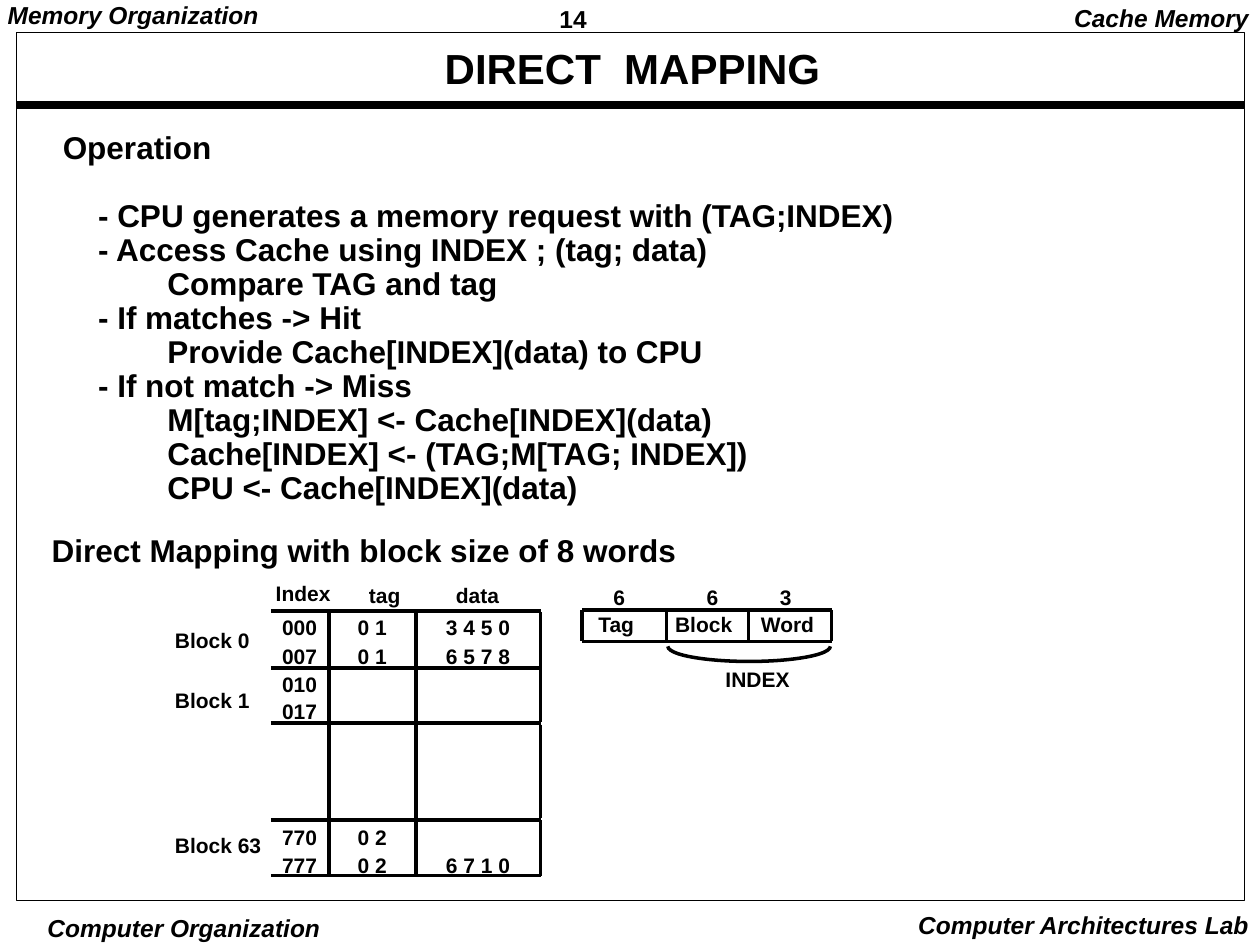
"""Build the direct mapping slide of a cache memory lecture."""
from lxml import etree
from pptx import Presentation
from pptx import util as u
from pptx.dml.color import RGBColor
from pptx.enum import shapes, text
from pptx.oxml.ns import qn

INK = "000000"
TITLE = "DIRECT  MAPPING"
WIDE, NARROW, TIGHT = (0.1, 0.05), (0.07, 0.03), (0.03, 0.01)
LEFT, CENTER, RIGHT = text.PP_ALIGN.LEFT, text.PP_ALIGN.CENTER, text.PP_ALIGN.RIGHT
SLACK = 0.06
SLACK_SHIFT = {LEFT: 0, CENTER: SLACK / 2, RIGHT: SLACK}

# words, (left, top, width, height), margins, alignment, line spacing, italic
MARGIN_TEXTS = [
    ("14", (4.37, 0, 1.08, 0.29), NARROW, LEFT, 1.01, False),
    ("Memory Organization", (-0.01, 0, 2.13, 0.27), NARROW, LEFT, 0.9, True),
    ("Cache Memory", (8.42, 0, 1.59, 0.31), WIDE, RIGHT, 0.9, True),
    ("Computer Organization", (0.35, 7.24, 2.22, 0.26), TIGHT, CENTER, 1.0, True),
    ("Computer Architectures Lab", (7.18, 7.17, 2.83, 0.33), WIDE, RIGHT, 1.0, True),
]

INDENTS = (0, 0.28, 0.83)
OPERATION = [
    (0, "Operation"),
    (1, "- CPU generates a memory request with (TAG;INDEX)"),
    (1, "- Access Cache using INDEX ; (tag; data)"),
    (2, "Compare TAG and tag"),
    (1, "- If matches -> Hit"),
    (2, "Provide Cache[INDEX](data) to CPU"),
    (1, "- If not match -> Miss"),
    (2, "M[tag;INDEX] <- Cache[INDEX](data)"),
    (2, "Cache[INDEX] <- (TAG;M[TAG; INDEX])"),
    (2, "CPU <- Cache[INDEX](data)"),
]
SUBTITLE = "Direct Mapping with block size of 8 words"

CACHE_COLUMNS = [(2.14, 0.48), (2.74, 0.43), (3.44, 0.71)]
CACHE_ROWS = [
    (4.85, ("000", "0 1", "3 4 5 0")),
    (5.08, ("007", "0 1", "6 5 7 8")),
    (5.3, ("010",)),
    (5.52, ("017",)),
    (6.52, ("770", "0 2")),
    (6.74, ("777", "0 2", "6 7 1 0")),
]
CACHE_RULES = (4.85, 5.3, 5.74, 6.51, 6.95)
CACHE_DIVIDERS = (2.61, 3.3, 4.29)
CACHE_SPANS = [(4.86, 5.73), (5.75, 6.49), (6.51, 6.95)]

LABELS = [
    ("Index", 2.09, 4.58, 0.64), ("tag", 2.83, 4.6, 0.45), ("data", 3.52, 4.6, 0.54),
    ("Block 0", 1.29, 4.95, 0.79), ("Block 1", 1.29, 5.43, 0.79),
    ("Block 63", 1.29, 6.58, 0.89),
    ("6", 4.77, 4.61, 0.29), ("6", 5.51, 4.61, 0.29), ("3", 6.09, 4.61, 0.29),
    ("Tag", 4.65, 4.83, 0.52), ("Block", 5.26, 4.83, 0.66), ("Word", 5.94, 4.83, 0.63),
    ("INDEX", 5.66, 5.26, 0.71),
]
ADDRESS_RULES = (4.84, 5.09)
ADDRESS_DIVIDERS = (4.62, 5.29, 5.94, 6.6)


def color(value):
    return RGBColor.from_string(value)


def set_all(target, values):
    for name, value in values.items():
        setattr(target, name, value)


def place(shape, at):
    set_all(shape, dict(zip(("left", "top", "width", "height"), map(u.Inches, at))))


def write(box, lines, size, margins=WIDE, align=LEFT, spacing=0.9, italic=False,
          anchor=text.MSO_ANCHOR.TOP):
    across, down = map(u.Inches, margins)
    frame = box.text_frame
    set_all(frame, {
        "margin_left": across, "margin_right": across,
        "margin_top": down, "margin_bottom": down,
        "word_wrap": True, "vertical_anchor": anchor,
        "auto_size": text.MSO_AUTO_SIZE.SHAPE_TO_FIT_TEXT,
    })
    for number, (level, words) in enumerate(lines):
        para = frame.add_paragraph() if number else frame.paragraphs[0]
        set_all(para, {"alignment": align, "line_spacing": spacing})
        if INDENTS[level]:
            para._p.get_or_add_pPr().set("marL", str(u.Inches(INDENTS[level])))
        span = para.add_run()
        span.text = words
        set_all(span.font, {"name": "Arial", "size": u.Pt(size),
                            "bold": True, "italic": italic})
        span.font.color.rgb = color(INK)
    return frame


def add_text(page, lines, at, size, align=LEFT, **style):
    left, top, width, height = at
    room = (left - SLACK_SHIFT[align], top, width + SLACK, height)
    box = page.shapes.add_textbox(*map(u.Inches, room))
    return write(box, lines, size, align=align, **style)


def ink_line(shape, width):
    shape.line.color.rgb = color(INK)
    shape.line.width = u.Pt(width)


def add_line(page, start, end, width=2):
    line = page.shapes.add_connector(
        shapes.MSO_CONNECTOR.STRAIGHT, *map(u.Inches, start + end))
    ink_line(line, width)
    etree.SubElement(line._element.spPr, qn("a:effectLst"))


def add_outline(page, kind, at, width):
    shape = page.shapes.add_shape(kind, *map(u.Inches, at))
    shape.shadow.inherit = False
    shape.fill.background()
    ink_line(shape, width)
    return shape


def add_frame(page):
    for words, at, margins, align, spacing, italic in MARGIN_TEXTS:
        add_text(page, [(0, words)], at, 14, margins=margins, align=align,
                 spacing=spacing, italic=italic)
    add_line(page, (0.13, 0.83), (9.87, 0.83), 4.5)
    add_outline(page, shapes.MSO_SHAPE.RECTANGLE, (0.13, 0.26, 9.75, 6.89), 0.5)
    place(page.shapes.title, (0.29, 0.31, 9.46, 0.5))
    write(page.shapes.title, [(0, TITLE)], 24, margins=NARROW, align=CENTER,
          anchor=text.MSO_ANCHOR.MIDDLE)


def add_cache(page):
    for top, values in CACHE_ROWS:
        for (left, width), words in zip(CACHE_COLUMNS, values):
            add_text(page, [(0, words)], (left, top, width, 0.28), 12)
    for y in CACHE_RULES:
        add_line(page, (2.15, y), (4.29, y))
    for x in CACHE_DIVIDERS:
        for top, bottom in CACHE_SPANS:
            add_line(page, (x, top), (x, bottom))


def add_address(page):
    for y in ADDRESS_RULES:
        add_line(page, (ADDRESS_DIVIDERS[0], y), (ADDRESS_DIVIDERS[-1], y))
    for x in ADDRESS_DIVIDERS:
        add_line(page, (x, ADDRESS_RULES[0]), (x, ADDRESS_RULES[1]))
    brace = add_outline(page, shapes.MSO_SHAPE.ARC, (5.3, 5.01, 1.29, 0.24), 2)
    brace.adjustments[0] = 0
    brace.adjustments[1] = 108


def main():
    deck = Presentation()
    set_all(deck, {"slide_width": u.Inches(10), "slide_height": u.Inches(7.5)})
    page = deck.slides.add_slide(deck.slide_layouts[5])
    add_frame(page)
    steps = add_text(page, OPERATION, (0.4, 1, 6.82, 3.07), 18)
    steps.paragraphs[1].space_before = u.Pt(19.5)
    add_text(page, [(0, SUBTITLE)], (0.34, 4.18, 5.1, 0.36), 18,
             margins=NARROW, spacing=1.01)
    add_cache(page)
    add_address(page)
    for words, left, top, width in LABELS:
        add_text(page, [(0, words)], (left, top, width, 0.28), 12)
    deck.save("out.pptx")


if __name__ == "__main__":
    main()
